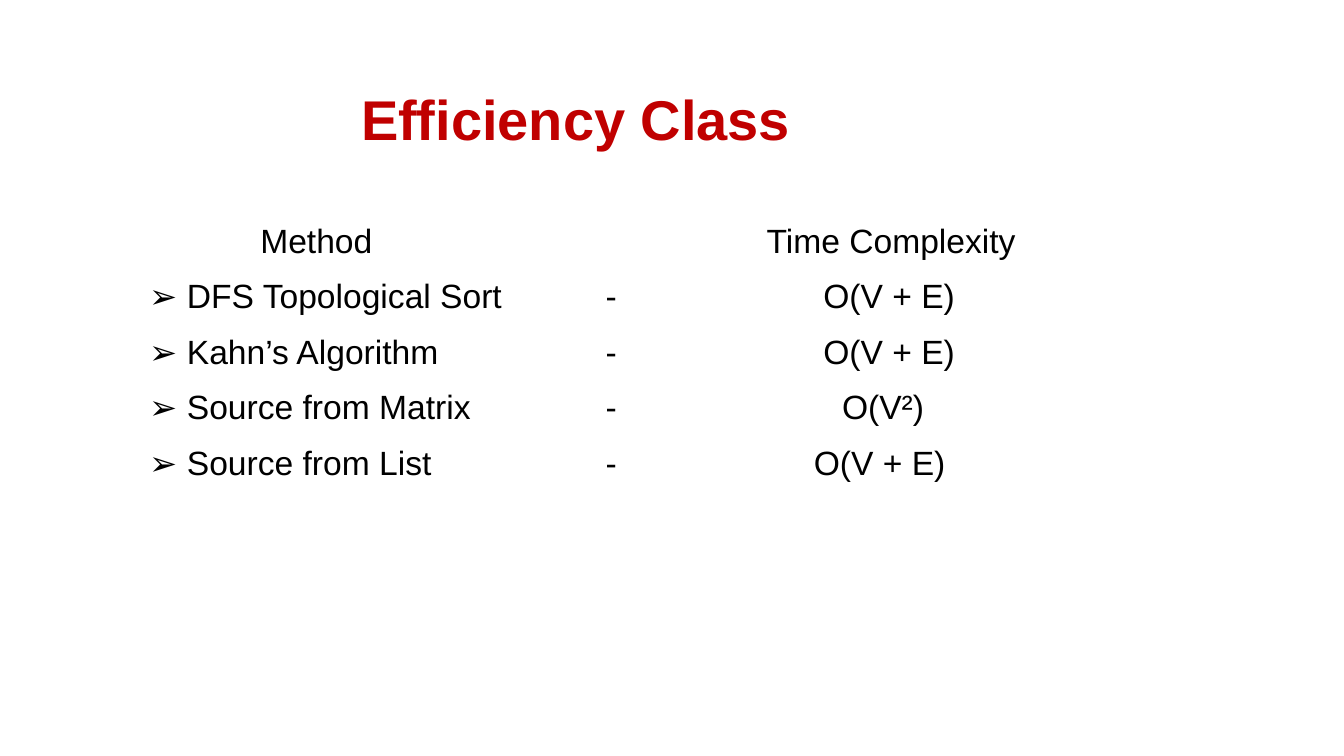
import pptx
import pptx.util
import pptx.dml.color
import pptx.enum.text
import lxml.etree
from pptx.util import Cm, Pt

# Content
TITLE = "Efficiency Class"
HEAD = ("Method", "Time Complexity")
ROWS = [
    ("DFS Topological Sort\t-", "O(V + E)"),
    ("Kahn’s Algorithm\t-", "O(V + E)"),
    ("Source from Matrix\t-", "O(V²)"),
    ("Source from List\t-", "O(V + E)"),
]

# Style and layout, lengths in cm
RED = pptx.dml.color.RGBColor(0xC0, 0x00, 0x00)
BLACK = pptx.dml.color.RGBColor(0x00, 0x00, 0x00)
FONT = "Arial"
WIDTHS = (13.49, 13.28)
HEIGHT = 1.4
PAD = 0.25
HEAD_PADS = (3.05, 2.32)
COST_PADS = (3.75, 3.75, 4.22, 3.51)
HANG = Cm(0.95)
DASH = Cm(11.5)


def style(para, size, color, bold=False):
    para.font.name = FONT
    para.font.size = Pt(size)
    para.font.bold = bold
    para.font.color.rgb = color


def bullet(para):
    """Add an arrow bullet and a tab stop for the dash."""
    qn = pptx.oxml.ns.qn
    props = para._p.get_or_add_pPr()
    props.set("marL", str(HANG))
    props.set("indent", str(-HANG))
    face = lxml.etree.Element(qn("a:buFont"), typeface=FONT)
    mark = lxml.etree.Element(qn("a:buChar"), char="➢")
    tabs = lxml.etree.Element(qn("a:tabLst"))
    lxml.etree.SubElement(tabs, qn("a:tab"), pos=str(DASH), algn="l")
    for place, item in enumerate((face, mark, tabs)):
        props.insert(place, item)


def fill_cell(cell, text, pad):
    cell.fill.background()
    cell.margin_left = Cm(pad)
    cell.vertical_anchor = pptx.enum.text.MSO_ANCHOR.MIDDLE
    para = cell.text_frame.paragraphs[0]
    para.text = text
    style(para, 24, BLACK)
    return para


deck = pptx.Presentation()
deck.slide_width, deck.slide_height = Cm(33.87), Cm(19.05)
slide = deck.slides.add_slide(deck.slide_layouts[6])

# Title
box = slide.shapes.add_textbox(Cm(8.85), Cm(2.01), Cm(24.54), Cm(1.96))
box.text_frame.word_wrap = True
title = box.text_frame.paragraphs[0]
title.text = TITLE
style(title, 40, RED, True)

# Table of methods and costs
lines = [HEAD] + ROWS
pads = [HEAD_PADS] + [(PAD, cost) for cost in COST_PADS]
table = slide.shapes.add_table(
    len(lines), len(WIDTHS), Cm(3.51), Cm(5.39),
    Cm(sum(WIDTHS)), Cm(HEIGHT * len(lines))).table
table.first_row = table.horz_banding = False
for col, width in zip(table.columns, WIDTHS):
    col.width = Cm(width)
for r, (line, row_pads) in enumerate(zip(lines, pads)):
    table.rows[r].height = Cm(HEIGHT)
    for c, (text, pad) in enumerate(zip(line, row_pads)):
        para = fill_cell(table.cell(r, c), text, pad)
        if r and c == 0:
            bullet(para)

deck.save("out.pptx")
